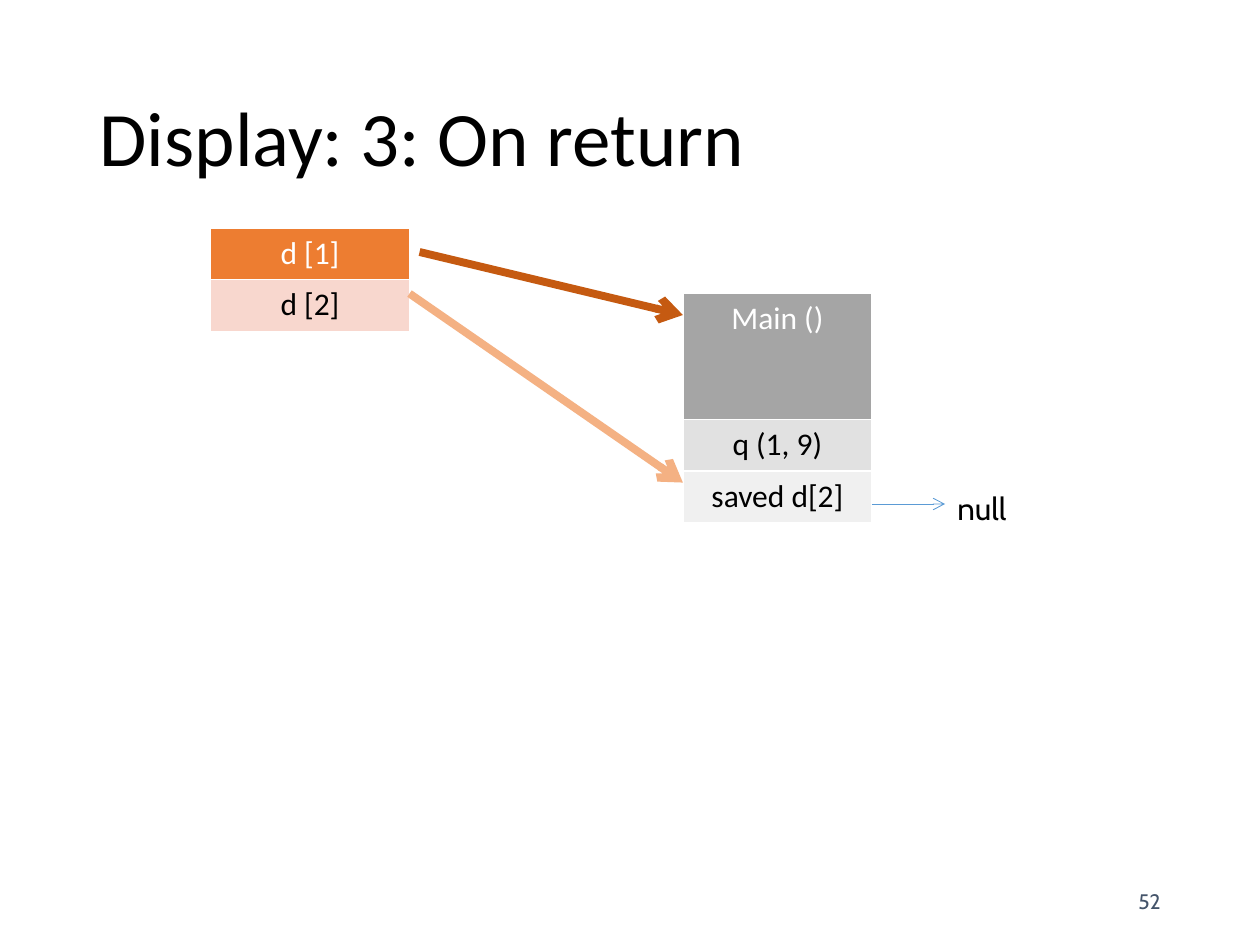
from lxml import etree
from pptx import Presentation
from pptx.dml.color import RGBColor
from pptx.enum.shapes import MSO_CONNECTOR
from pptx.enum.text import MSO_ANCHOR, PP_ALIGN
from pptx.oxml.ns import qn
from pptx.util import Inches, Pt

LEFT, CENTER, RIGHT = PP_ALIGN.LEFT, PP_ALIGN.CENTER, PP_ALIGN.RIGHT
TOP, MIDDLE = MSO_ANCHOR.TOP, MSO_ANCHOR.MIDDLE
STRAIGHT = MSO_CONNECTOR.STRAIGHT
TITLE_ONLY = 5
BLACK, WHITE = "000000", "FFFFFF"
ROW = 0.41


def color(code):
    return RGBColor.from_string(code)


def write(frame, text, size, font, code, align=LEFT):
    frame.text = text
    para = frame.paragraphs[0]
    para.alignment = align
    style = para.runs[0].font
    style.size, style.name = Pt(size), font
    style.color.rgb = color(code)


def place(shape, left, top, width, height):
    shape.left, shape.top = Inches(left), Inches(top)
    shape.width, shape.height = Inches(width), Inches(height)


def add_title(slide, text):
    title = slide.shapes.title
    place(title, 0.69, 0.4, 8.62, 1.45)
    frame = title.text_frame
    write(frame, text, 44, "Calibri", BLACK)
    frame.vertical_anchor = MIDDLE
    frame.paragraphs[0].line_spacing = 0.9


def add_label(slide, text, box, size, code, align=LEFT, anchor=TOP):
    frame = slide.shapes.add_textbox(*map(Inches, box)).text_frame
    frame.word_wrap = True
    frame.vertical_anchor = anchor
    write(frame, text, size, "Cabin", code, align)


def add_border(cell, width=1):
    props = cell._tc.get_or_add_tcPr()
    for side in ("lnL", "lnR", "lnT", "lnB"):
        line = etree.SubElement(props, qn(f"a:{side}"), w=str(Pt(width)))
        fill = etree.SubElement(line, qn("a:solidFill"))
        etree.SubElement(fill, qn("a:srgbClr"), val=WHITE)


def add_stack(slide, left, top, width, rows):
    """Draw a one-column table from (text, height, fill) rows, header first."""
    total = sum(height for _, height, _ in rows)
    table = slide.shapes.add_table(
        len(rows), 1, *map(Inches, (left, top, width, total))).table
    for i, (text, height, fill) in enumerate(rows):
        table.rows[i].height = Inches(height)
        cell = table.cell(i, 0)
        write(cell.text_frame, text, 18, "Calibri", BLACK if i else WHITE, CENTER)
        add_border(cell)
        cell.fill.solid()
        cell.fill.fore_color.rgb = color(fill)


def add_arrow(slide, start, end, code, width):
    arrow = slide.shapes.add_connector(STRAIGHT, *map(Inches, start + end))
    arrow.line.color.rgb = color(code)
    arrow.line.width = Pt(width)
    etree.SubElement(arrow.line._get_or_add_ln(), qn("a:tailEnd"), type="arrow")
    etree.SubElement(arrow._element.spPr, qn("a:effectLst"))


def main():
    deck = Presentation()
    deck.slide_width, deck.slide_height = Inches(10), Inches(7.5)
    slide = deck.slides.add_slide(deck.slide_layouts[TITLE_ONLY])

    add_title(slide, "Display: 3: On return")
    add_label(slide, "52", (7.06, 6.95, 2.25, 0.4), 12, "44546A", RIGHT, MIDDLE)

    add_stack(slide, 1.67, 1.81, 1.58, [
        ("d [1]", ROW, "ED7D31"),
        ("d [2]", ROW, "F8D7CE"),
    ])
    add_stack(slide, 5.42, 2.33, 1.5, [
        ("Main ()", 1, "A5A5A5"),
        ("q (1, 9)", ROW, "E1E1E1"),
        ("saved d[2]", ROW, "F0F0F0"),
    ])

    add_arrow(slide, (3.33, 2), (5.42, 2.5), "C55A11", 4.5)
    add_arrow(slide, (3.25, 2.33), (5.42, 3.83), "F4B183", 4.5)
    add_arrow(slide, (6.92, 4), (7.5, 4), "5B9BD5", 0.5)
    add_label(slide, "null", (7.5, 3.83, 0.83, 0.4), 18, BLACK)

    deck.save("out.pptx")


if __name__ == "__main__":
    main()
